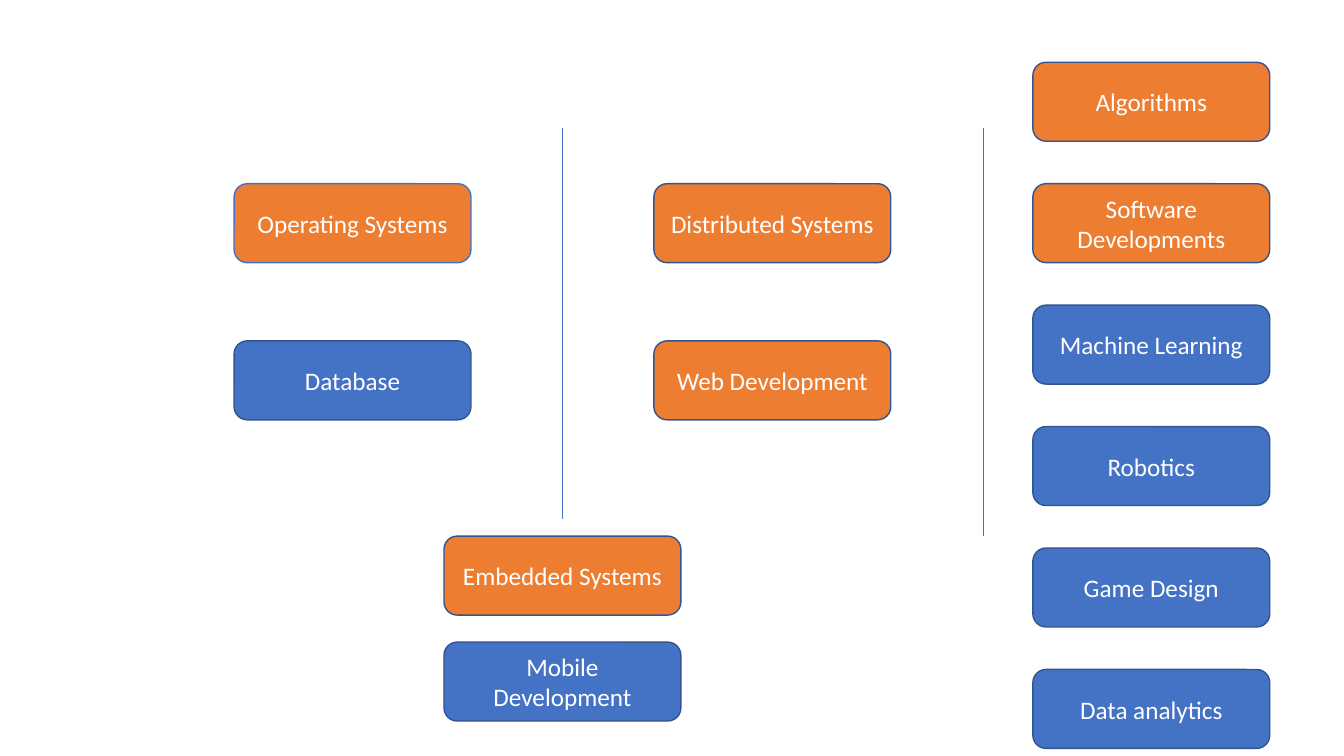
from dataclasses import dataclass

from lxml.etree import SubElement
from pptx import Presentation
from pptx.dml.color import RGBColor
from pptx.enum.shapes import MSO_CONNECTOR, MSO_SHAPE
from pptx.enum.text import MSO_ANCHOR, PP_ALIGN
from pptx.oxml.ns import qn
from pptx.slide import Slide
from pptx.util import Cm, Pt


@dataclass(frozen=True)
class Theme:
    """Colours, type and line sizes of the slide."""
    orange: RGBColor = RGBColor(0xED, 0x7D, 0x31)
    blue: RGBColor = RGBColor(0x44, 0x72, 0xC4)
    outline: RGBColor = RGBColor(0x32, 0x54, 0x91)
    text: RGBColor = RGBColor(0xFF, 0xFF, 0xFF)
    font: str = "Calibri"
    size: Pt = Pt(18)
    border: Pt = Pt(1)
    divider: Pt = Pt(0.5)


THEME = Theme()
BOX_WIDTH, BOX_HEIGHT = Cm(5.97), Cm(1.99)


@dataclass(frozen=True)
class Topic:
    """A course topic and its box colours."""
    name: str
    fill: RGBColor = THEME.blue
    outline: RGBColor = THEME.outline


@dataclass(frozen=True)
class Column:
    """Topics stacked at an equal pitch."""
    left: Cm
    top: Cm
    pitch: Cm
    topics: tuple[Topic, ...]


@dataclass(frozen=True)
class Divider:
    """A vertical line between columns."""
    x: Cm
    top: Cm
    bottom: Cm


COLUMNS = (
    Column(Cm(5.9), Cm(4.63), Cm(3.96), (
        Topic("Operating Systems", THEME.orange, THEME.blue),
        Topic("Database"),
    )),
    Column(Cm(16.48), Cm(4.63), Cm(3.96), (
        Topic("Distributed Systems", THEME.orange),
        Topic("Web Development", THEME.orange),
    )),
    Column(Cm(11.19), Cm(13.51), Cm(2.67), (
        Topic("Embedded Systems", THEME.orange),
        Topic("Mobile Development"),
    )),
    Column(Cm(26.03), Cm(1.57), Cm(3.06), (
        Topic("Algorithms", THEME.orange),
        Topic("Software Developments", THEME.orange),
        Topic("Machine Learning"),
        Topic("Robotics"),
        Topic("Game Design"),
        Topic("Data analytics"),
    )),
)
DIVIDERS = (
    Divider(Cm(14.17), Cm(3.23), Cm(13.08)),
    Divider(Cm(24.79), Cm(3.23), Cm(13.51)),
)


def draw_topic(page: Slide, topic: Topic, left: int, top: int) -> None:
    """Draw one rounded box with its centred topic name."""
    box = page.shapes.add_shape(
        MSO_SHAPE.ROUNDED_RECTANGLE, left, top, BOX_WIDTH, BOX_HEIGHT)
    box.shadow.inherit = False
    box.fill.solid()
    box.fill.fore_color.rgb = topic.fill
    box.line.color.rgb = topic.outline
    box.line.width = THEME.border
    frame = box.text_frame
    frame.word_wrap = True
    frame.vertical_anchor = MSO_ANCHOR.MIDDLE
    para = frame.paragraphs[0]
    para.alignment = PP_ALIGN.CENTER
    span = para.add_run()
    span.text = topic.name
    span.font.name = THEME.font
    span.font.size = THEME.size
    span.font.color.rgb = THEME.text


def draw_column(page: Slide, column: Column) -> None:
    """Draw a column of topics from top to bottom."""
    for index, topic in enumerate(column.topics):
        draw_topic(page, topic, column.left, column.top + index * column.pitch)


def draw_divider(page: Slide, divider: Divider) -> None:
    """Draw one thin vertical line without a shadow."""
    line = page.shapes.add_connector(
        MSO_CONNECTOR.STRAIGHT, divider.x, divider.top, divider.x, divider.bottom)
    line.line.color.rgb = THEME.blue
    line.line.width = THEME.divider
    SubElement(line._element.spPr, qn("a:effectLst"))


def main() -> None:
    """Build the slide and save the deck."""
    deck = Presentation()
    deck.slide_width, deck.slide_height = Cm(33.87), Cm(19.05)
    page = deck.slides.add_slide(deck.slide_layouts[6])
    for divider in DIVIDERS:
        draw_divider(page, divider)
    for column in COLUMNS:
        draw_column(page, column)
    deck.save("out.pptx")


main()
